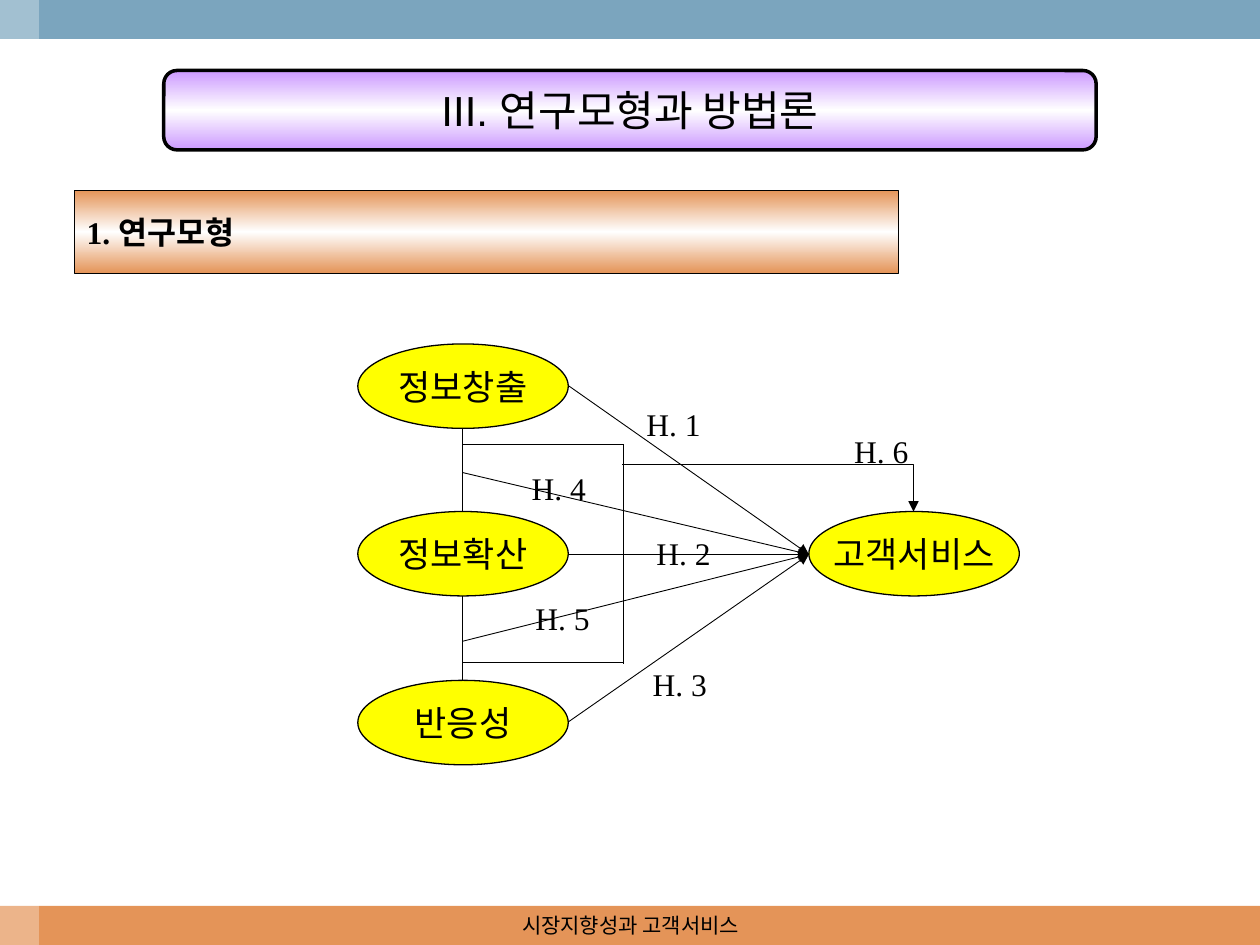
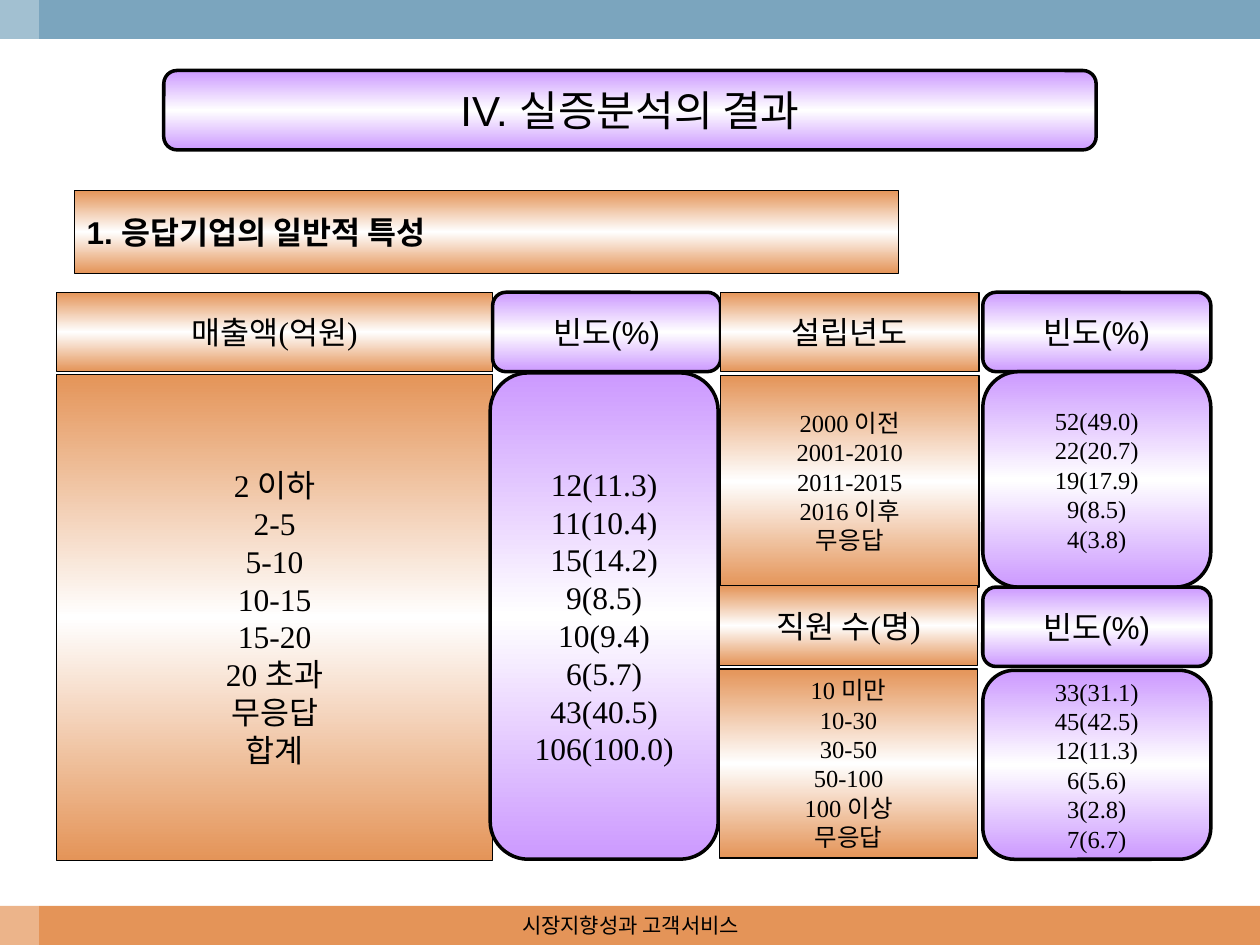
import copy
import pptx
import pptx.util
import pptx.dml.color
import pptx.enum.shapes
import pptx.enum.text
import pptx.oxml.ns
from lxml import etree

Inches = pptx.util.Inches
Pt = pptx.util.Pt
RGBColor = pptx.dml.color.RGBColor
SHAPE = pptx.enum.shapes.MSO_SHAPE
CONNECTOR = pptx.enum.shapes.MSO_CONNECTOR
ALIGN = pptx.enum.text.PP_ALIGN
ANCHOR = pptx.enum.text.MSO_ANCHOR
qn = pptx.oxml.ns.qn

BLACK = RGBColor(0, 0, 0)
WHITE = RGBColor(255, 255, 255)
ORANGE = RGBColor(0xE4, 0x94, 0x58)
BLUE = RGBColor(0x7B, 0xA5, 0xBE)
VIOLET = RGBColor(0xCC, 0x99, 0xFF)
YELLOW = RGBColor(255, 255, 0)

SERIF = "Times New Roman"
SANS = "Arial"
KOREAN = "Noto Sans CJK KR"
FOOTER = "시장지향성과 고객서비스"


class Deck:
    def __init__(self):
        self.prs = pptx.Presentation()
        self.prs.slide_width = Inches(10)
        self.prs.slide_height = Inches(7.5)
        self.slide = None

    def add_slide(self, title, heading, heading_font):
        self.slide = self.prs.slides.add_slide(self.prs.slide_layouts[6])
        self.shape(SHAPE.RECTANGLE, (0, 7.19, 10, 0.31), ORANGE)
        self.shape(SHAPE.RECTANGLE, (0, 0, 10, 0.31), BLUE)
        strip = self.shape(SHAPE.RECTANGLE, (0, 0, 0.31, 7.5), WHITE)
        color = strip._element.spPr.find(".//" + qn("a:srgbClr"))
        etree.SubElement(color, qn("a:alpha"), val="30000")
        box = self.slide.shapes.add_textbox(*map(Inches, (3.42, 7.19, 3.17, 0.31)))
        self.text(box, [FOOTER], 12, "Noto Serif", wrap=True)
        sp = self.pill((1.3, 0.56, 7.4, 0.63), [title], 24, SANS)
        pPr = sp.text_frame.paragraphs[0]._p.get_or_add_pPr()
        pPr.set("marL", str(Inches(0.38)))
        pPr.set("indent", str(-Inches(0.38)))
        self.panel((0.59, 1.51, 6.54, 0.66), [heading], 18, heading_font,
                   align=ALIGN.LEFT, bold=True)

    def shape(self, kind, at, fill=None, width=0):
        sp = self.slide.shapes.add_shape(kind, *map(Inches, at))
        sp.shadow.inherit = False
        if fill is None:
            sp.fill.background()
        else:
            sp.fill.solid()
            sp.fill.fore_color.rgb = fill
        if width:
            sp.line.color.rgb = BLACK
            sp.line.width = Pt(width)
        else:
            sp.line.fill.background()
        return sp

    def text(self, sp, lines, size, font, align=ALIGN.CENTER, wrap=False, bold=False):
        tf = sp.text_frame
        tf.word_wrap = wrap
        tf.vertical_anchor = ANCHOR.MIDDLE
        style = {"size": Pt(size), "name": font, "bold": bold}
        for i, line in enumerate(lines):
            p = tf.add_paragraph() if i else tf.paragraphs[0]
            p.alignment = align
            r = p.add_run()
            r.text = line
            for key, value in style.items():
                setattr(r.font, key, value)
            r.font.color.rgb = BLACK
            etree.SubElement(r._r.get_or_add_rPr(), qn("a:ea"), typeface=KOREAN)

    def gradient(self, sp, color):
        sp.fill.gradient()
        sp.fill.gradient_angle = 90
        stops = sp._element.spPr.find(".//" + qn("a:gsLst"))
        stops.append(copy.deepcopy(stops[0]))
        for i, stop in enumerate(sp.fill.gradient_stops):
            stop.color.rgb = WHITE if i == 1 else color
            stop.position = i / 2

    def panel(self, at, lines, size=18, font=SERIF, **style):
        sp = self.shape(SHAPE.RECTANGLE, at, ORANGE, 0.75)
        self.gradient(sp, ORANGE)
        self.text(sp, lines, size, font, **style)

    def pill(self, at, lines, size=18, font=SERIF):
        sp = self.shape(SHAPE.ROUNDED_RECTANGLE, at, VIOLET, 2)
        self.gradient(sp, VIOLET)
        self.text(sp, lines, size, font)
        return sp

    def node(self, left, top, name):
        sp = self.shape(SHAPE.OVAL, (left, top, 1.67, 0.67), YELLOW, 0.75)
        self.text(sp, [name], 20, KOREAN)

    def label(self, left, top, name):
        sp = self.shape(SHAPE.ROUNDED_RECTANGLE, (left, top, 1.15, 0.39))
        self.text(sp, [name], 18, SERIF, wrap=True)

    def line(self, start, end, arrow=False, bent=False):
        kind = CONNECTOR.ELBOW if bent else CONNECTOR.STRAIGHT
        cx = self.slide.shapes.add_connector(kind, *map(Inches, start + end))
        cx.line.color.rgb = BLACK
        cx.line.width = Pt(0.5)
        spPr = cx._element.spPr
        if bent:
            spPr.find(qn("a:prstGeom")).set("prst", "bentConnector2")
        if arrow:
            etree.SubElement(spPr.find(qn("a:ln")), qn("a:tailEnd"), type="triangle")
        etree.SubElement(spPr, qn("a:effectLst"))


deck = Deck()

deck.add_slide("III. 연구모형과 방법론", "1. 연구모형", SERIF)
for top, name in ((2.73, "정보창출"), (4.06, "정보확산"), (5.4, "반응성")):
    deck.node(2.84, top, name)
deck.node(6.42, 4.06, "고객서비스")

TARGET = (6.42, 4.4)
for start in ((4.51, 4.4), (4.51, 3.06), (4.51, 5.73), (3.67, 3.75), (3.67, 5.09)):
    deck.line(start, TARGET, arrow=True)
for start, end in (
    ((3.67, 3.4), (3.67, 4.06)),
    ((3.67, 4.73), (3.67, 5.4)),
    ((3.67, 3.53), (4.95, 3.53)),
    ((3.67, 5.26), (4.95, 5.26)),
    ((4.95, 3.53), (4.95, 5.27)),
):
    deck.line(start, end)
deck.line((4.94, 3.69), (7.25, 4.06), arrow=True, bent=True)

HYPOTHESES = ((4.77, 3.17), (4.85, 4.19), (4.82, 5.23),
              (3.86, 3.68), (3.89, 4.71), (6.42, 3.38))
for number, (left, top) in enumerate(HYPOTHESES, 1):
    deck.label(left, top, f"H. {number}")

deck.add_slide("IV. 실증분석의 결과", "1. 응답기업의 일반적 특성", SANS)
SALES = {
    "2 이하": "12(11.3)", "2-5": "11(10.4)", "5-10": "15(14.2)", "10-15": "9(8.5)",
    "15-20": "10(9.4)", "20 초과": "6(5.7)", "무응답": "43(40.5)", "합계": "106(100.0)",
}
FOUNDED = {
    "2000 이전": "52(49.0)", "2001-2010": "22(20.7)", "2011-2015": "19(17.9)",
    "2016 이후": "9(8.5)", "무응답": "4(3.8)",
}
STAFF = {
    "10 미만": "33(31.1)", "10-30": "45(42.5)", "30-50": "12(11.3)",
    "50-100": "6(5.6)", "100 이상": "3(2.8)", "무응답": "7(6.7)",
}
GROUPS = (
    ("매출액(억원)", SALES, 18, (0.45, 2.32, 3.46, 0.63), (0.45, 2.97, 3.46, 3.86),
     (3.91, 2.32, 1.81, 0.63), (3.89, 2.96, 1.81, 3.86)),
    ("설립년도", FOUNDED, 14, (5.72, 2.32, 2.05, 0.63), (5.72, 2.98, 2.05, 1.68),
     (7.8, 2.32, 1.81, 0.63), (7.8, 2.95, 1.81, 1.71)),
    ("직원 수(명)", STAFF, 14, (5.71, 4.65, 2.05, 0.63), (5.71, 5.31, 2.05, 1.5),
     (7.8, 4.66, 1.81, 0.63), (7.8, 5.32, 1.81, 1.5)),
)
for name, counts, size, name_at, keys_at, count_at, values_at in GROUPS:
    deck.panel(name_at, [name])
    deck.pill(count_at, ["빈도(%)"], font=SANS)
    deck.panel(keys_at, counts.keys(), size)
    deck.pill(values_at, counts.values(), size)

deck.prs.save("out.pptx")
